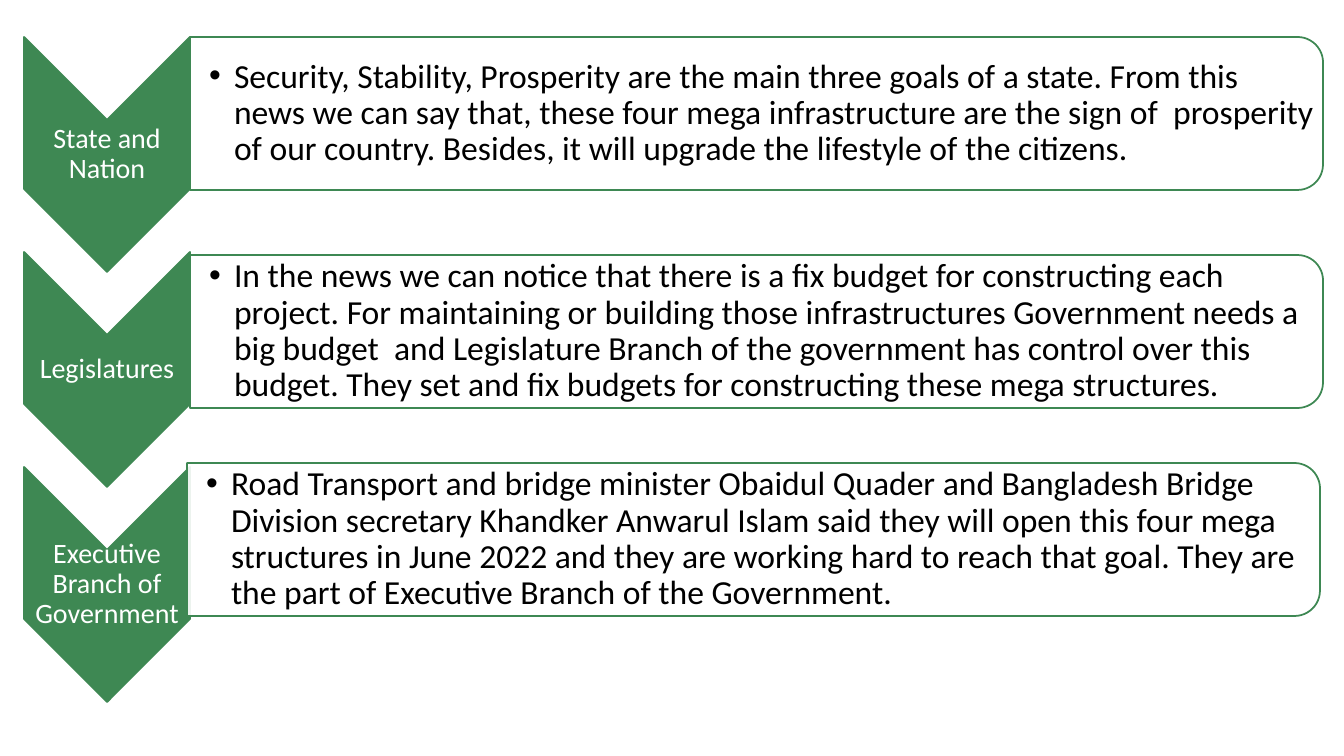
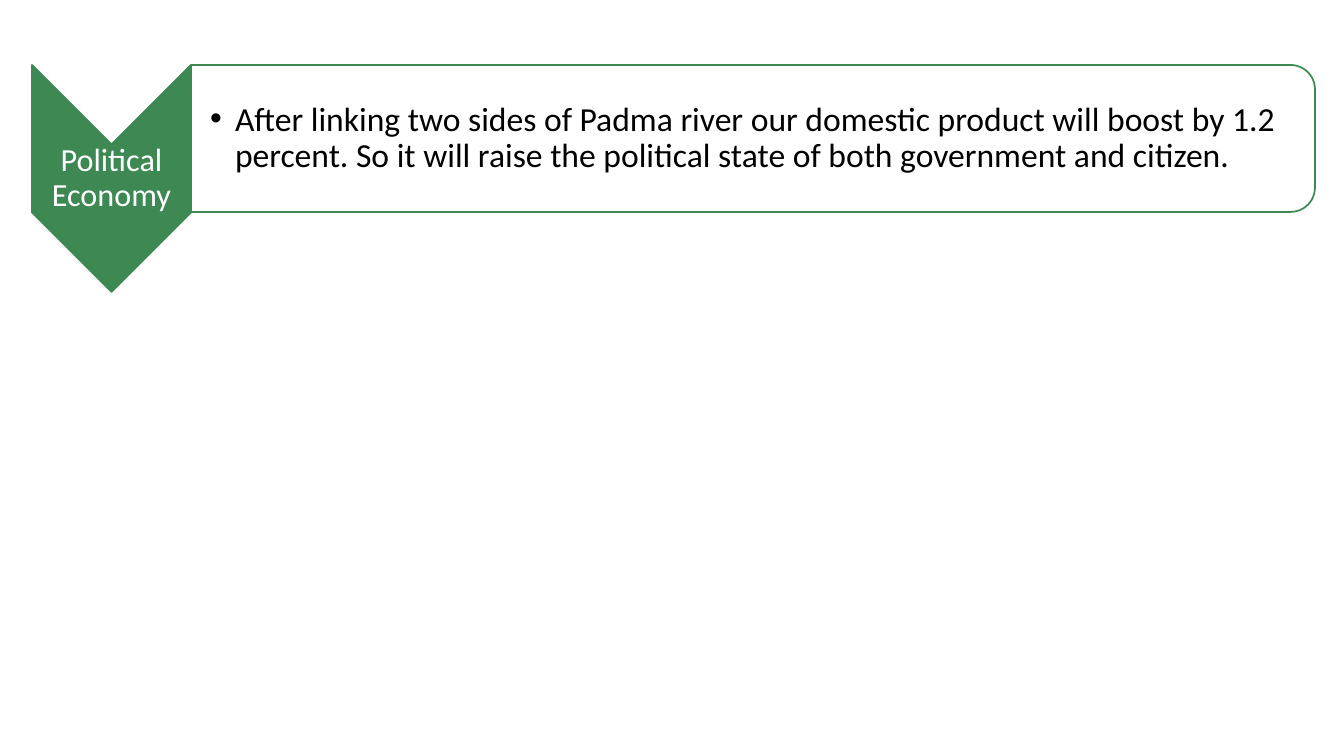
"""Build two slides of chevron rows, each a label beside a bulleted panel."""
from dataclasses import dataclass

from lxml.etree import SubElement
from pptx import Presentation
from pptx.dml.color import RGBColor
from pptx.enum.shapes import MSO_SHAPE
from pptx.enum.text import MSO_ANCHOR, MSO_AUTO_SIZE, PP_ALIGN
from pptx.oxml.ns import qn
from pptx.util import Pt

PX = 914400 / 100.8


@dataclass(frozen=True)
class Theme:
    green: RGBColor = RGBColor(0x3E, 0x88, 0x53)
    white: RGBColor = RGBColor(0xFF, 0xFF, 0xFF)
    black: RGBColor = RGBColor(0, 0, 0)
    font: str = "Calibri"
    body: int = 24
    label: int = 20
    large: int = 23
    line: float = 1.25


theme = Theme()


def turned(slide, kind, box, fill):
    """Add an outlined preset, turned a quarter, that covers the box."""
    x, y, w, h = box
    left, top = x + (w - h) / 2, y + (h - w) / 2
    shape = slide.shapes.add_shape(kind, *(round(n * PX) for n in (left, top, h, w)))
    shape.rotation = 90
    shape.shadow.inherit = False
    shape.fill.solid()
    shape.fill.fore_color.rgb = fill
    shape.line.color.rgb = theme.green
    shape.line.width = Pt(theme.line)
    return shape


def write(shape, text, box, size, color, align=PP_ALIGN.LEFT, inset=1, lead=1, bullet=False):
    """Place a text shape and fill it with one formatted paragraph."""
    shape.left, shape.top, shape.width, shape.height = (round(n * PX) for n in box)
    frame = shape.text_frame
    frame.word_wrap = True
    frame.auto_size = MSO_AUTO_SIZE.NONE
    frame.vertical_anchor = MSO_ANCHOR.MIDDLE
    frame.margin_left = round(lead * PX)
    frame.margin_top = frame.margin_right = frame.margin_bottom = round(inset * PX)
    frame.text = text
    para = frame.paragraphs[0]
    para.alignment = align
    para.line_spacing = 0.9
    para.space_before = para.space_after = Pt(0)
    font = para.runs[0].font
    font.name, font.size, font.bold = theme.font, Pt(size), False
    font.color.rgb = color
    if bullet:
        props = para._p.get_or_add_pPr()
        props.set("marL", str(round(25 * PX)))
        props.set("indent", str(round(-25 * PX)))
        SubElement(props, qn("a:buFont"), typeface="Arial")
        SubElement(props, qn("a:buChar"), char="•")


goals = [
    ("State and Nation", (190, 37),
     "Security, Stability, Prosperity are the main three goals of a state. From this news we can "
     "say that, these four mega infrastructure are the sign of  prosperity of our country. "
     "Besides, it will upgrade the lifestyle of the citizens."),
    ("Legislatures", (190, 255),
     "In the news we can notice that there is a fix budget for constructing each project. For "
     "maintaining or building those infrastructures Government needs a big budget  and "
     "Legislature Branch of the government has control over this budget. They set and fix "
     "budgets for constructing these mega structures."),
    ("Executive Branch of Government", (187, 463),
     "Road Transport and bridge minister Obaidul Quader and Bangladesh Bridge Division secretary "
     "Khandker Anwarul Islam said they will open this four mega structures in June 2022 and they "
     "are working hard to reach that goal. They are the part of Executive Branch of the "
     "Government."),
]
economy = [
    ("Political Economy", (191, 65),
     "After linking two sides of Padma river our domestic product will boost by 1.2 percent. So "
     "it will raise the political state of both government and citizen."),
]
pages = [
    (goals, (24, 37, 166, 235), (1133, 153), theme.label),
    (economy, (32, 65, 159, 227), (1124, 147), theme.large),
]
step = 215

deck = Presentation()
deck.slide_width, deck.slide_height = round(1344 * PX), round(756 * PX)
layout = deck.slide_layouts.get_by_name("Comparison")

for rows, (x, first, w, h), (wide, high), size in pages:
    slide = deck.slides.add_slide(layout)
    title, *bodies = slide.placeholders
    for spare in [title, *bodies[len(rows):]]:
        spare.element.getparent().remove(spare.element)

    for row, ((name, (left, top), text), body) in enumerate(zip(rows, bodies)):
        y = first + row * step
        turned(slide, MSO_SHAPE.CHEVRON, (x, y, w, h), theme.green)
        label = slide.shapes.add_textbox(0, 0, 0, 0)
        write(label, name, (x, y + w / 2, w, h - w), size, theme.white, align=PP_ALIGN.CENTER)

        panel = turned(slide, MSO_SHAPE.ROUND_2_SAME_RECTANGLE, (left, top, wide, high), theme.white)
        paint = panel.element.spPr.find(qn("a:solidFill"))[0]
        SubElement(paint, qn("a:alpha"), val="90000")
        write(body, text, (left, top + 7, wide - 7, high - 14), theme.body, theme.black,
              inset=2, lead=19, bullet=True)
        panel.element.addnext(body.element)

deck.save("out.pptx")
